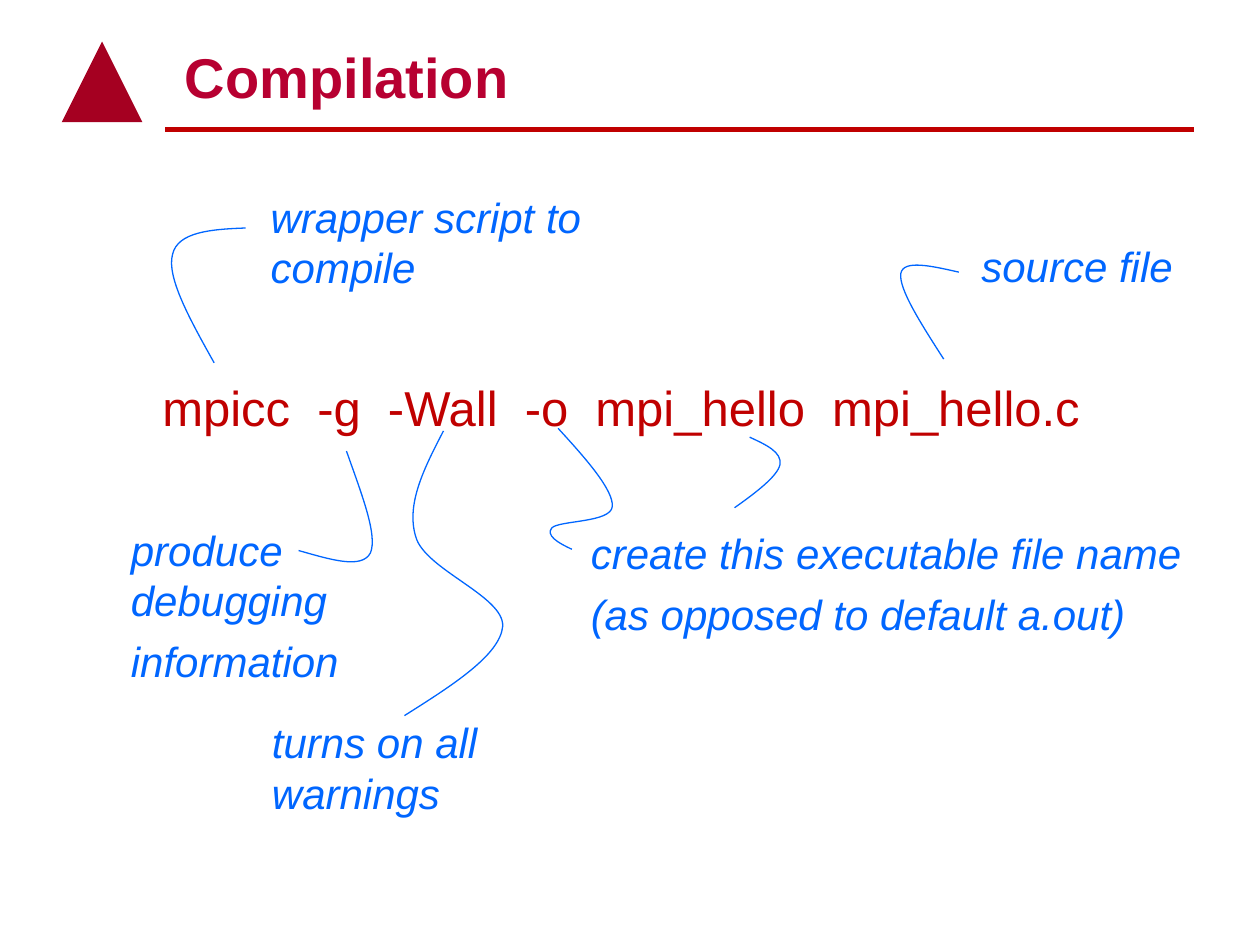
from pptx import Presentation, util as u
from pptx.dml.color import RGBColor
from pptx.enum import shapes, text
from pptx.oxml import parse_xml
from pptx.oxml.ns import nsdecls, qn

WIDTH, HEIGHT = 10, 7.5
RULE_RED = RGBColor(0xC0, 0x00, 0x00)
TITLE_RED = RGBColor(0xB7, 0x00, 0x31)
EMBLEM_RED = RGBColor(0xA5, 0x00, 0x21)
NOTE_BLUE = RGBColor(0x00, 0x66, 0xFF)

NOTES = [
    ((2.05, 1.47, 3.9, 0.5), ["wrapper script to compile"]),
    ((2.06, 5.64, 3.25, 0.5), ["turns on all warnings"]),
    ((7.69, 1.86, 1.72, 0.5), ["source file"]),
    ((4.59, 4.14, 4.89, 0.99),
     ["create this executable file name", "(as opposed to default a.out)"]),
    ((0.94, 4.11, 1.85, 1.39), ["produce\vdebugging", "information"]),
]

POINTERS = [
    [(1.95, 1.81), (1.68, 1.82), (1.41, 1.84), (1.37, 2.02),
     (1.32, 2.2), (1.51, 2.54), (1.7, 2.88)],
    [(7.61, 2.16), (7.39, 2.11), (7.17, 2.06), (7.15, 2.17),
     (7.13, 2.29), (7.31, 2.57), (7.49, 2.85)],
    [(2.37, 4.37), (2.62, 4.44), (2.87, 4.52), (2.94, 4.39),
     (3, 4.25), (2.87, 3.92), (2.75, 3.58)],
    [(3.21, 5.68), (3.59, 5.44), (3.97, 5.2), (3.99, 4.97), (4, 4.73),
     (3.37, 4.52), (3.3, 4.26), (3.22, 4), (3.37, 3.71), (3.52, 3.42)],
    [(5.83, 4.03), (6, 3.91), (6.17, 3.78), (6.19, 3.69),
     (6.21, 3.59), (6.08, 3.53), (5.95, 3.47)],
    [(4.54, 4.36), (4.43, 4.31), (4.33, 4.25), (4.38, 4.19), (4.44, 4.13),
     (4.85, 4.15), (4.86, 4.02), (4.87, 3.89), (4.65, 3.64), (4.43, 3.4)],
]


def inches(values):
    """Turn numbers into inch lengths."""
    return [u.Inches(value) for value in values]


def add_rule(page):
    """Draw the line under the title."""
    rule = page.shapes.add_connector(
        shapes.MSO_CONNECTOR.STRAIGHT, *inches((1.31, 1.03, 9.48, 1.03)))
    rule.line.color.rgb = RULE_RED
    rule.line.width = u.Pt(3)
    rule.element.spPr.append(parse_xml(f"<a:effectLst {nsdecls('a')}/>"))


def add_emblem(page):
    """Put one plain triangle beside the title."""
    emblem = page.shapes.add_shape(
        shapes.MSO_SHAPE.ISOSCELES_TRIANGLE, *inches((0.49, 0.33, 0.64, 0.64)))
    emblem.shadow.inherit = False
    emblem.fill.solid()
    emblem.fill.fore_color.rgb = EMBLEM_RED
    emblem.line.fill.background()


def add_text(page, area, lines, size, color, before=0, bold=False,
             italic=False, wrap=True, anchor=text.MSO_ANCHOR.TOP):
    """Add a text box with one paragraph for each line."""
    box = page.shapes.add_textbox(*inches(area))
    frame = box.text_frame
    frame.word_wrap = wrap
    frame.vertical_anchor = anchor
    if not wrap:
        frame.auto_size = text.MSO_AUTO_SIZE.SHAPE_TO_FIT_TEXT
    frame.text = "\n".join(lines)
    for para in frame.paragraphs:
        para.space_before = u.Pt(before)
        for span in para.runs:
            span.font.name = "Arial"
            span.font.size = u.Pt(size)
            span.font.bold = bold
            span.font.italic = italic
            span.font.color.rgb = color


def add_pointer(page, points):
    """Draw an open curve through a start point and Bezier triples."""
    start, *rest = [inches(point) for point in points]
    builder = page.shapes.build_freeform(*start)
    builder.add_line_segments(rest, close=False)
    curve = builder.convert_to_shape()
    steps = curve.element.xpath(".//a:lnTo")
    for first in range(0, len(steps), 3):
        bend = parse_xml(f"<a:cubicBezTo {nsdecls('a')}/>")
        steps[first].addprevious(bend)
        for step in steps[first:first + 3]:
            bend.append(step.find(qn("a:pt")))
            step.getparent().remove(step)
    curve.shadow.inherit = False
    curve.fill.background()
    curve.line.color.rgb = NOTE_BLUE
    curve.line.width = u.Pt(0.75)


def main():
    """Build the slide and save it."""
    deck = Presentation()
    deck.slide_width, deck.slide_height = inches((WIDTH, HEIGHT))
    page = deck.slides.add_slide(deck.slide_layouts[6])
    add_rule(page)
    add_emblem(page)
    add_text(page, (1.37, 0.25, 8, 0.67), ["Compilation"], 32, TITLE_RED,
             bold=True, anchor=text.MSO_ANCHOR.BOTTOM)
    add_text(page, (1.19, 2.95, 8.98, 0.57),
             ["mpicc  -g  -Wall  -o  mpi_hello  mpi_hello.c"], 28, RULE_RED,
             before=7)
    for area, lines in NOTES:
        add_text(page, area, lines, 24, NOTE_BLUE, before=6, italic=True,
                 wrap=False)
    for points in POINTERS:
        add_pointer(page, points)
    deck.save("out.pptx")


if __name__ == "__main__":
    main()
